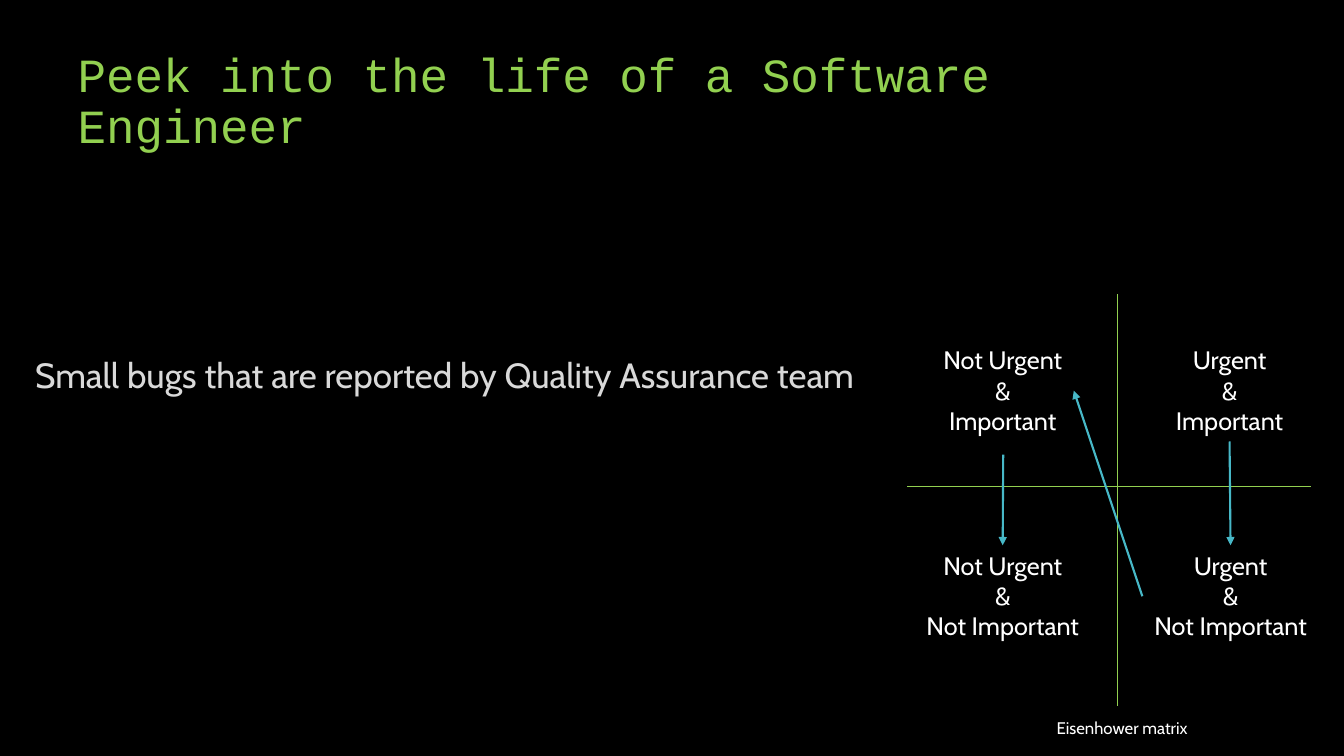
"""Build the Eisenhower matrix slide about small bugs reported by QA."""
from lxml import etree
from pptx import Presentation
from pptx.dml.color import RGBColor
from pptx.enum.shapes import MSO_CONNECTOR
from pptx.enum.text import MSO_ANCHOR, MSO_AUTO_SIZE, PP_ALIGN
from pptx.oxml.ns import qn
from pptx.util import Inches, Pt

STRAIGHT = MSO_CONNECTOR.STRAIGHT
BOTTOM = MSO_ANCHOR.BOTTOM
GROW = MSO_AUTO_SIZE.SHAPE_TO_FIT_TEXT
NO_FIT = MSO_AUTO_SIZE.NONE
LEFT, CENTER = PP_ALIGN.LEFT, PP_ALIGN.CENTER
TOP_SIDE, LEFT_SIDE, BOTTOM_SIDE, RIGHT_SIDE = range(4)
GREEN, TEAL, WHITE, GREY = "92D050", "47B8C7", "FFFFFF", "D9D9D9"


def write(frame, text, size, color, font="Cabin", align=LEFT, spacing=1.0):
    frame.text = text
    for paragraph in frame.paragraphs:
        paragraph.alignment = align
        paragraph.line_spacing = spacing
        paragraph.space_before = Pt(0)
        for run in paragraph.runs:
            run.font.size = Pt(size)
            run.font.name = font
            run.font.color.rgb = RGBColor.from_string(color)


def draw_line(start, end, color, width, arrow=False):
    line = slide.shapes.add_connector(STRAIGHT, *map(Inches, start + end))
    line.line.color.rgb = RGBColor.from_string(color)
    line.line.width = Pt(width)
    if arrow:
        etree.SubElement(line.line._get_or_add_ln(), qn("a:tailEnd"), type="triangle")
    etree.SubElement(line._element.spPr, qn("a:effectLst"))
    return line


prs = Presentation()
prs.slide_width, prs.slide_height = Inches(13.33), Inches(7.5)
slide = prs.slides.add_slide(prs.slide_layouts[5])
slide.background.fill.solid()
slide.background.fill.fore_color.rgb = RGBColor.from_string("000000")

title = slide.shapes.title
title.left, title.top = Inches(0.67), Inches(0.33)
title.width, title.height = Inches(10.17), Inches(1.25)
title.text_frame.vertical_anchor = BOTTOM
title.text_frame.word_wrap = True
title.text_frame.auto_size = NO_FIT
write(title.text_frame, "Peek into the life of a Software Engineer", 34, GREEN,
      "Courier New", spacing=0.9)

example = slide.shapes.add_textbox(Inches(0.25), Inches(3.5), Inches(12.33), Inches(0.75))
example.text_frame.word_wrap = True
write(example.text_frame, "Small bugs that are reported by Quality Assurance team",
      25, GREY, spacing=0.9)

draw_line((11.08, 2.92), (11.08, 7), GREEN, 0.5)
draw_line((13, 4.83), (9, 4.83), GREEN, 0.5)

quadrants = {}
for urgency, importance, left, top, width in (
    ("Not Urgent", "Not Important", 9.07, 5.41, 1.75),
    ("Not Urgent", "Important", 9.24, 3.37, 1.41),
    ("Urgent", "Important", 11.55, 3.37, 1.29),
    ("Urgent", "Not Important", 11.33, 5.41, 1.75),
):
    quadrant = slide.shapes.add_textbox(Inches(left), Inches(top), Inches(width), Inches(1.01))
    quadrant.text_frame.word_wrap = False
    quadrant.text_frame.auto_size = GROW
    write(quadrant.text_frame, f"{urgency}\n&\n{importance}", 18, WHITE, align=CENTER)
    quadrants[urgency, importance] = quadrant

urgent_drop = draw_line((12.2, 4.38), (12.21, 5.41), TEAL, 1.5, arrow=True)
urgent_drop.begin_connect(quadrants["Urgent", "Important"], BOTTOM_SIDE)
urgent_drop.end_connect(quadrants["Urgent", "Not Important"], TOP_SIDE)

promotion = draw_line((11.33, 5.92), (10.65, 3.88), TEAL, 1.5, arrow=True)
promotion.begin_connect(quadrants["Urgent", "Not Important"], LEFT_SIDE)
promotion.end_connect(quadrants["Not Urgent", "Important"], RIGHT_SIDE)

calm_drop = draw_line((9.95, 4.51), (9.95, 5.41), TEAL, 1.5, arrow=True)
calm_drop.end_connect(quadrants["Not Urgent", "Not Important"], TOP_SIDE)

caption = slide.shapes.add_textbox(Inches(9.67), Inches(7.07), Inches(2.92), Inches(0.3))
caption.text_frame.word_wrap = True
caption.text_frame.auto_size = GROW
write(caption.text_frame, "Eisenhower matrix", 12, WHITE, align=CENTER)

prs.save("out.pptx")
